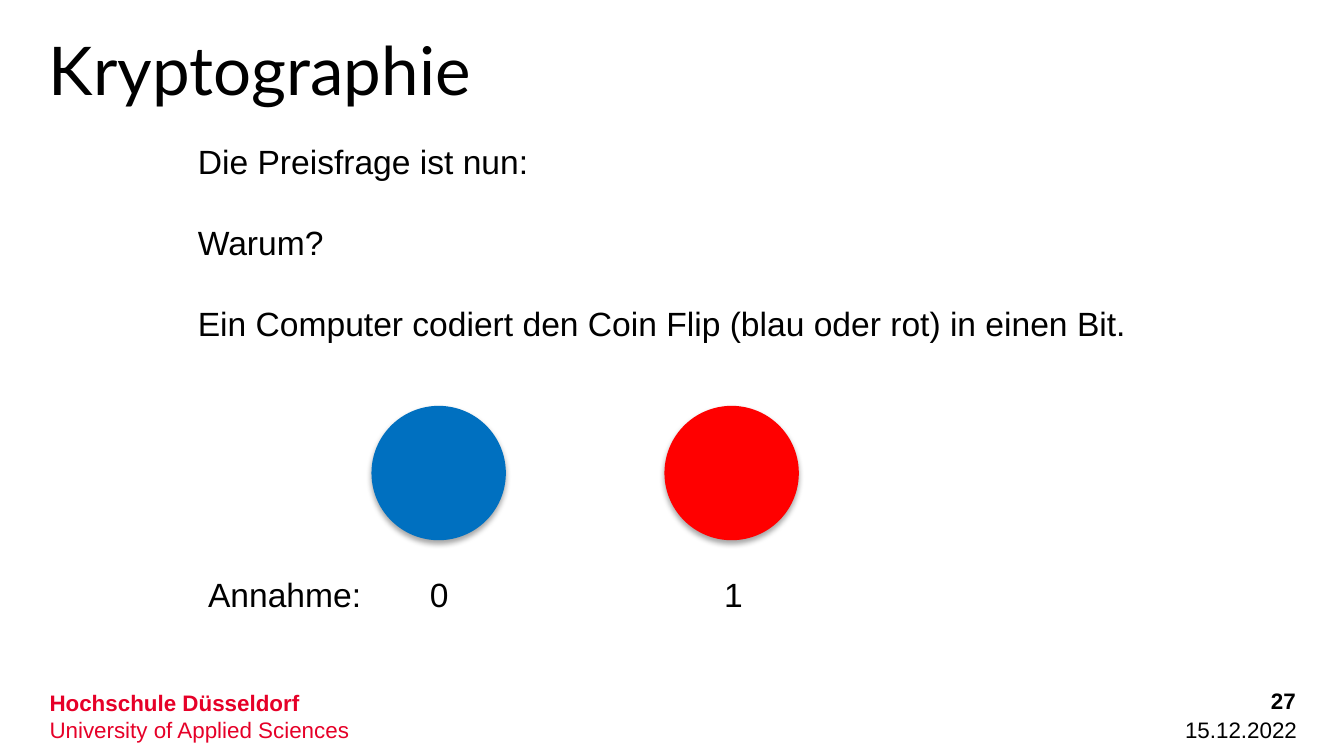
from dataclasses import dataclass

from lxml import etree
from pptx import Presentation
from pptx import util as u
from pptx.dml import color
from pptx.enum import shapes, text
from pptx.oxml import ns

SLIDE_WIDTH = u.Inches(10)
SLIDE_HEIGHT = SLIDE_WIDTH * 9 // 16
COLUMN, ROW = SLIDE_WIDTH / 100, SLIDE_HEIGHT / 56.25


@dataclass(frozen=True)
class Theme:
    ink: str = "000000"
    brand: str = "E60028"
    blue: str = "0070C0"
    red: str = "FF0000"
    title_font: str = "Lato"
    body_font: str = "Arial"
    title_size: int = 36
    body_size: int = 18
    footer_size: int = 12


THEME = Theme()


@dataclass(frozen=True)
class Area:
    column: float
    row: float
    columns: float
    rows: float

    def box(self) -> tuple[int, int, int, int]:
        return (round(self.column * COLUMN), round(self.row * ROW),
                round(self.columns * COLUMN), round(self.rows * ROW))


@dataclass(frozen=True)
class Line:
    words: str
    size: int = THEME.body_size
    ink: str = THEME.ink
    font: str = THEME.body_font
    bold: bool = False
    align: text.PP_ALIGN = text.PP_ALIGN.LEFT
    before: float = 0


@dataclass(frozen=True)
class Note:
    area: Area
    lines: tuple[Line, ...]
    anchor: text.MSO_ANCHOR = text.MSO_ANCHOR.TOP


@dataclass(frozen=True)
class CoinSide:
    column: float
    label_column: float
    fill: str
    bit: str


def write(frame, lines: tuple[Line, ...], anchor: text.MSO_ANCHOR) -> None:
    frame.word_wrap = True
    frame.auto_size = text.MSO_AUTO_SIZE.NONE
    frame.vertical_anchor = anchor
    for index, line in enumerate(lines):
        paragraph = frame.add_paragraph() if index else frame.paragraphs[0]
        paragraph.alignment = line.align
        paragraph.space_before = u.Pt(line.before)
        run = paragraph.add_run()
        run.text = line.words
        run.font.name = line.font
        run.font.size = u.Pt(line.size)
        run.font.bold = line.bold
        run.font.color.rgb = color.RGBColor.from_string(line.ink)


def add_title(slide, area: Area, line: Line) -> None:
    title = slide.shapes.title
    title.left, title.top, title.width, title.height = area.box()
    write(title.text_frame, (line,), text.MSO_ANCHOR.TOP)


def add_note(slide, note: Note) -> None:
    textbox = slide.shapes.add_textbox(*note.area.box())
    write(textbox.text_frame, note.lines, note.anchor)


def add_soft_shadow(shape) -> None:
    shape.shadow.inherit = False
    effects = shape.element.spPr.find(ns.qn("a:effectLst"))
    outer = etree.SubElement(effects, ns.qn("a:outerShdw"), blurRad=str(u.Pt(3.1)),
                             dist=str(u.Pt(1.8)), dir="5400000", rotWithShape="0")
    tint = etree.SubElement(outer, ns.qn("a:srgbClr"), val=THEME.ink)
    etree.SubElement(tint, ns.qn("a:alpha"), val="35000")


def assumption(column: float, words: str) -> Note:
    return Note(Area(column, 42.2, 26.4, 4), (Line(words),))


def add_coin_side(slide, side: CoinSide) -> None:
    coin = slide.shapes.add_shape(shapes.MSO_SHAPE.OVAL, *Area(side.column, 30.2, 10, 10).box())
    coin.fill.solid()
    coin.fill.fore_color.rgb = color.RGBColor.from_string(side.fill)
    coin.line.fill.background()
    add_soft_shadow(coin)
    add_note(slide, assumption(side.label_column, side.bit))


RIGHT = text.PP_ALIGN.RIGHT
SMALL = THEME.footer_size
QUESTION = ("Die Preisfrage ist nun:", "Warum?",
            "Ein Computer codiert den Coin Flip (blau oder rot) in einen Bit.")

NOTES = (
    Note(Area(2.7, 50.8, 30.5, 5), (
        Line("Hochschule Düsseldorf", SMALL, THEME.brand, bold=True),
        Line("University of Applied Sciences", SMALL, THEME.brand))),
    Note(Area(87, 52.35, 10.5, 3.9), (Line("15.12.2022", SMALL, align=RIGHT),),
         text.MSO_ANCHOR.MIDDLE),
    Note(Area(85.6, 50.64, 11.8, 3.7), (Line("27", SMALL, bold=True, align=RIGHT),)),
    Note(Area(13.74, 10, 82.6, 22.2), tuple(
        Line(words, before=21.7 if index else 0)
        for index, words in enumerate(QUESTION))),
    assumption(14.5, "Annahme:"),
)

COIN_SIDES = (
    CoinSide(27.64, 31, THEME.blue, "0"),
    CoinSide(49.44, 52.9, THEME.red, "1"),
)


def main() -> None:
    deck = Presentation()
    deck.slide_width, deck.slide_height = SLIDE_WIDTH, SLIDE_HEIGHT
    slide = deck.slides.add_slide(deck.slide_layouts.get_by_name("Title Only"))
    add_title(slide, Area(2.64, 1.6, 94.7, 9),
              Line("Kryptographie", THEME.title_size, font=THEME.title_font))
    for note in NOTES:
        add_note(slide, note)
    for side in COIN_SIDES:
        add_coin_side(slide, side)
    deck.save("out.pptx")


if __name__ == "__main__":
    main()
